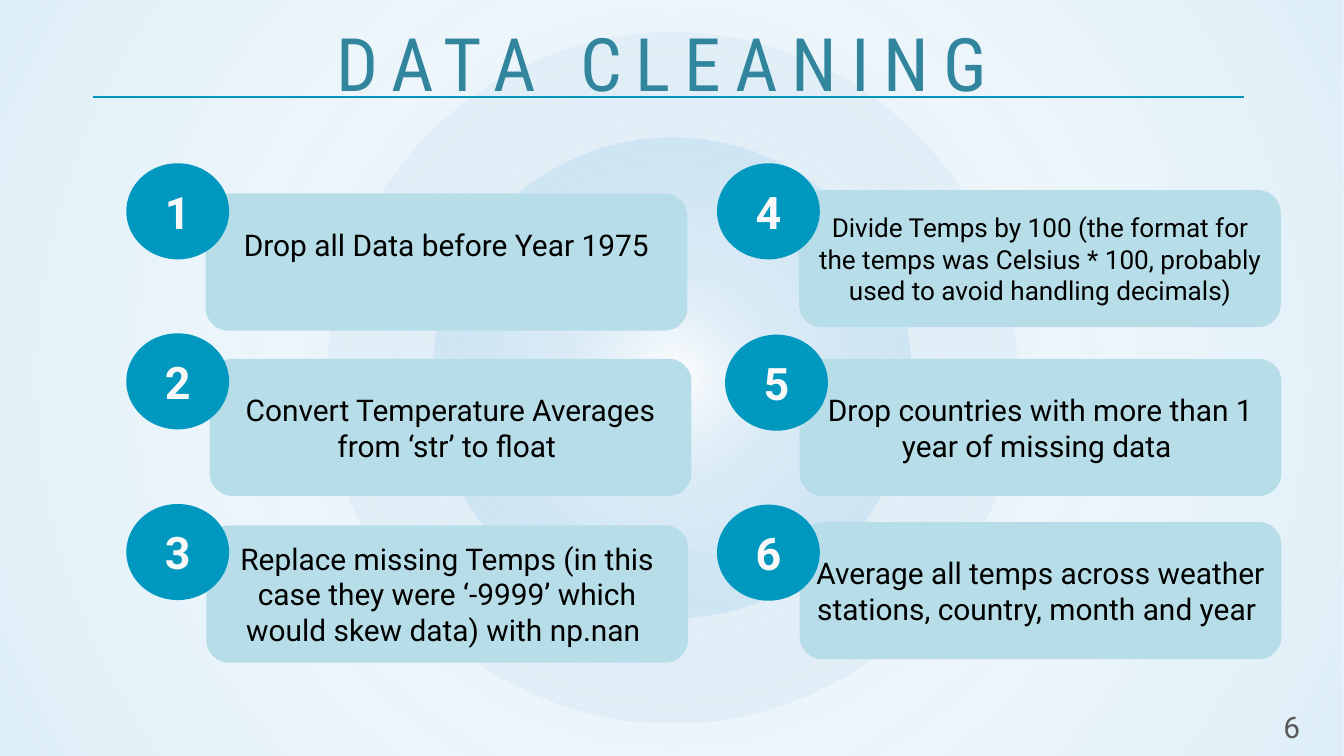
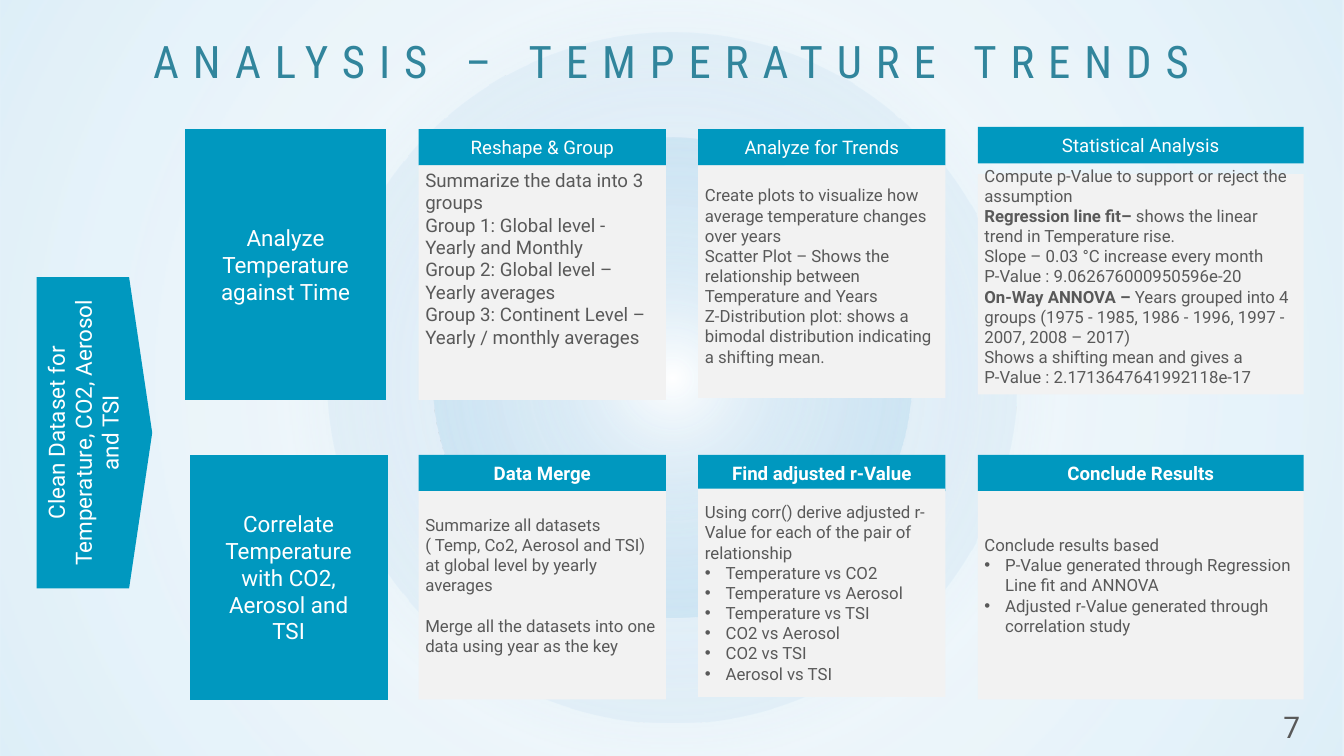
from pptx import Presentation
from pptx.dml.color import RGBColor
from pptx.enum.shapes import MSO_CONNECTOR, MSO_SHAPE
from pptx.enum.text import MSO_ANCHOR, PP_ALIGN
from pptx.oxml import parse_xml
from pptx.oxml.ns import nsdecls, qn
from pptx.util import Inches, Pt
from lxml import etree

RECT, ROUNDED, OVAL = MSO_SHAPE.RECTANGLE, MSO_SHAPE.ROUNDED_RECTANGLE, MSO_SHAPE.OVAL
PROCESS, OFFPAGE = MSO_SHAPE.FLOWCHART_PREDEFINED_PROCESS, MSO_SHAPE.FLOWCHART_OFFPAGE_CONNECTOR
STRAIGHT = MSO_CONNECTOR.STRAIGHT
TOP, MIDDLE = MSO_ANCHOR.TOP, MSO_ANCHOR.MIDDLE
LEFT, CENTER = PP_ALIGN.LEFT, PP_ALIGN.CENTER

COLORS = {
    "title": "31859C", "rule": "0095BB", "accent": "0098BF", "card": "B7DEE8",
    "panel": "F2F2F2", "body": "595959", "black": "000000", "number": "F8F8F8",
    "white": "FFFFFF", "glow_mid": "BCDBEF", "glow_edge": "8FC8E8",
}
BODY_FONT, TITLE_FONT = "Roboto", "Roboto Condensed"
BULLET = "• "


def write(frame, paragraphs, size, color, bold=False, align=CENTER, font=BODY_FONT):
    """Each paragraph is a string or a list of (text, bold) runs."""
    frame.word_wrap = True
    for i, content in enumerate(paragraphs):
        paragraph = frame.paragraphs[0] if i == 0 else frame.add_paragraph()
        paragraph.alignment = align
        runs = [(content, bold)] if isinstance(content, str) else content
        if runs[0][0].startswith(BULLET):
            runs = [(runs[0][0].removeprefix(BULLET), bold)]
            properties = paragraph._p.get_or_add_pPr()
            properties.set("marL", str(Inches(0.31)))
            properties.set("indent", str(Inches(-0.31)))
            etree.SubElement(properties, qn("a:buFont"), typeface="Arial")
            etree.SubElement(properties, qn("a:buChar"), char=BULLET.strip())
        for text, is_bold in runs:
            run = paragraph.add_run()
            run.text = text
            run.font.size = Pt(size)
            run.font.name = font
            run.font.bold = is_bold
            run.font.color.rgb = RGBColor.from_string(COLORS[color])


def add_block(shapes, kind, box, fill, anchor=MIDDLE, lift=0):
    """Add a borderless shape; lift is extra room under its text."""
    block = shapes.add_shape(kind, *map(Inches, box))
    block.shadow.inherit = False
    block.line.fill.background()
    block.fill.solid()
    block.fill.fore_color.rgb = RGBColor.from_string(COLORS[fill])
    block.text_frame.vertical_anchor = anchor
    block.text_frame.margin_bottom = Inches(0.05 + lift)
    return block


prs = Presentation()
prs.slide_width, prs.slide_height = Inches(20), Inches(11.25)
blank = prs.slide_layouts[6]

# Titles and page numbers
slides = []
for title, page, left, top, size in [
    ("DATA CLEANING", "6", 0.7, 0.21, 79),
    ("ANALYSIS – TEMPERATURE TRENDS", "7", 0.84, 0.46, 48),
]:
    slide = prs.slides.add_slide(blank)
    slides.append(slide)
    heading = slide.shapes.add_textbox(Inches(left), Inches(top), Inches(18.31), Inches(1.23))
    write(heading.text_frame, [title], size, "title", font=TITLE_FONT)
    heading.text_frame.paragraphs[0].runs[0].font._element.set("spc", "1500")
    page_number = slide.shapes.add_textbox(Inches(19), Inches(10.49), Inches(0.99), Inches(0.6))
    write(page_number.text_frame, [page], 32, "body", align=LEFT)
cleaning, analysis = slides

# Shared backdrop of radial glows, moved to the layout
for kind, box, middle, mid_alpha, edge_alpha in [
    (RECT, (0, 0, 20, 11.25), 50, 24, 29),
    (OVAL, (4.87, 0.49, 10.26, 10.26), 50, 14, 15),
    (OVAL, (6.43, 2.05, 7.14, 7.14), 42, 24, 38),
]:
    glow = add_block(cleaning.shapes, kind, box, "white")
    stops = "".join(
        f'<a:gs pos="{position * 1000}"><a:srgbClr val="{COLORS[color]}">'
        f'<a:alpha val="{alpha * 1000}"/></a:srgbClr></a:gs>'
        for position, color, alpha in [
            (0, "white", 100), (middle, "glow_mid", mid_alpha), (100, "glow_edge", edge_alpha)]
    )
    gradient = parse_xml(
        f'<a:gradFill {nsdecls("a")} rotWithShape="1"><a:gsLst>{stops}</a:gsLst>'
        '<a:path path="circle"><a:fillToRect l="50000" t="50000" r="50000" b="50000"/></a:path>'
        '</a:gradFill>'
    )
    properties = glow._element.spPr
    properties.replace(properties.find(qn("a:solidFill")), gradient)
    blank.shapes.element.append(glow._element)

# Data cleaning: rule under the title
rule = cleaning.shapes.add_connector(STRAIGHT, Inches(1.39), Inches(1.44), Inches(18.51), Inches(1.44))
rule.line.color.rgb = RGBColor.from_string(COLORS["rule"])
rule.line.width = Pt(2.25)
etree.SubElement(rule._element.spPr, qn("a:effectLst"))

# Data cleaning: six numbered steps (text, size, card position, number position, lift)
steps = [
    ("Drop all Data before Year 1975", 32, (3.06, 2.88), (1.88, 2.43), 0.53),
    ("Convert Temperature Averages from ‘str’ to float ", 32, (3.12, 5.34), (1.88, 4.96), 0),
    ("Replace missing Temps (in this case they were ‘-9999’ which would skew data) with np.nan ",
     32, (3.07, 7.82), (1.88, 7.5), 0),
    ("Divide Temps by 100 (the format for the temps was Celsius * 100, probably used to avoid "
     "handling decimals)", 28, (11.89, 2.83), (10.67, 2.43), 0),
    ("Drop countries with more than 1 year of missing data ", 32, (11.9, 5.34), (10.79, 4.98), 0),
    ("Average all temps across weather stations, country, month and year ",
     32, (11.9, 7.77), (10.67, 7.51), 0),
]
for number, (text, size, card_at, number_at, lift) in enumerate(steps, 1):
    card = add_block(cleaning.shapes, ROUNDED, (*card_at, 7.17, 2.04), "card", lift=lift)
    write(card.text_frame, [text], size, "black")
    badge = add_block(cleaning.shapes, OVAL, (*number_at, 1.53, 1.43), "accent")
    write(badge.text_frame, [str(number)], 48, "number", bold=True)

# Analysis: input dataset and the two tracks
for kind, box, text, rotation in [
    (OFFPAGE, (-0.91, 5.58, 4.63, 1.72), "Clean Dataset for Temperature, CO2, Aerosol and TSI", 270),
    (PROCESS, (2.75, 1.92, 3, 4.03), "Analyze Temperature against Time", 0),
    (PROCESS, (2.82, 6.77, 2.95, 3.64), "Correlate Temperature with CO2, Aerosol and TSI", 0),
]:
    track = add_block(analysis.shapes, kind, box, "accent")
    track.rotation = rotation
    write(track.text_frame, [text], 24, "white")

# Analysis: panels (column, header top, bold header, body top, body height, size, anchor, lift)
columns = [(6.23, 3.68), (10.39, 3.68), (14.55, 4.85)]
panels = [
    ("Reshape & Group", 0, 1.92, False, 2.46, 3.49, 20, TOP, 0, [
        "Summarize the data into 3 groups",
        "Group 1: Global level - Yearly and Monthly",
        "Group 2: Global level – Yearly averages",
        "Group 3: Continent Level – Yearly / monthly averages"]),
    ("Analyze for Trends", 1, 1.92, False, 2.46, 3.46, 18, MIDDLE, 0.17, [
        "Create plots to visualize how average temperature changes over years",
        "Scatter Plot – Shows the relationship between Temperature and Years",
        "Z-Distribution plot: shows a bimodal distribution indicating a shifting mean."]),
    ("Statistical Analysis", 2, 1.89, False, 2.59, 3.28, 18, MIDDLE, 0.24, [
        "Compute p-Value to support or reject the assumption",
        [("Regression line fit–", True), (" shows the linear trend in Temperature rise.", False)],
        "Slope – 0.03 °C increase every month",
        "P-Value : 9.062676000950596e-20",
        [("On-Way ANNOVA –", True),
         (" Years grouped into 4 groups (1975 - 1985, 1986 - 1996, 1997 - 2007, 2008 – 2017)", False)],
        "Shows a shifting mean and gives a",
        "P-Value : 2.1713647641992118e-17"]),
    ("Data Merge", 0, 6.77, True, 7.31, 3.1, 18, MIDDLE, 0.3, [
        "Summarize all datasets ( Temp, Co2, Aerosol and TSI) at global level by yearly averages",
        "Merge all the datasets into one data using year as the key"]),
    ("Find adjusted r-Value", 1, 6.77, True, 7.27, 3.1, 18, MIDDLE, 0, [
        "Using corr() derive adjusted r-Value for each of the pair of relationship",
        *(BULLET + pair for pair in [
            "Temperature vs CO2", "Temperature vs Aerosol", "Temperature vs TSI",
            "CO2 vs Aerosol", "CO2 vs TSI", "Aerosol vs TSI"])]),
    ("Conclude Results", 2, 6.77, True, 7.31, 3.1, 18, MIDDLE, 0.3, [
        "Conclude results based",
        BULLET + "P-Value generated through Regression Line fit and ANNOVA",
        BULLET + "Adjusted r-Value generated through correlation study"]),
]
for name, column, top, bold, body_top, height, size, anchor, lift, paragraphs in panels:
    left, width = columns[column]
    panel = analysis.shapes.add_group_shape()
    header = add_block(panel.shapes, RECT, (left, top, width, 0.54), "accent")
    write(header.text_frame, [name], 20, "white", bold=bold)
    body = add_block(panel.shapes, RECT, (left, body_top, width, height), "panel", anchor, lift)
    write(body.text_frame, paragraphs, size, "body", align=LEFT)
    if name == "Data Merge":
        body.text_frame.paragraphs[0].space_after = Pt(21.6)

prs.save("out.pptx")
